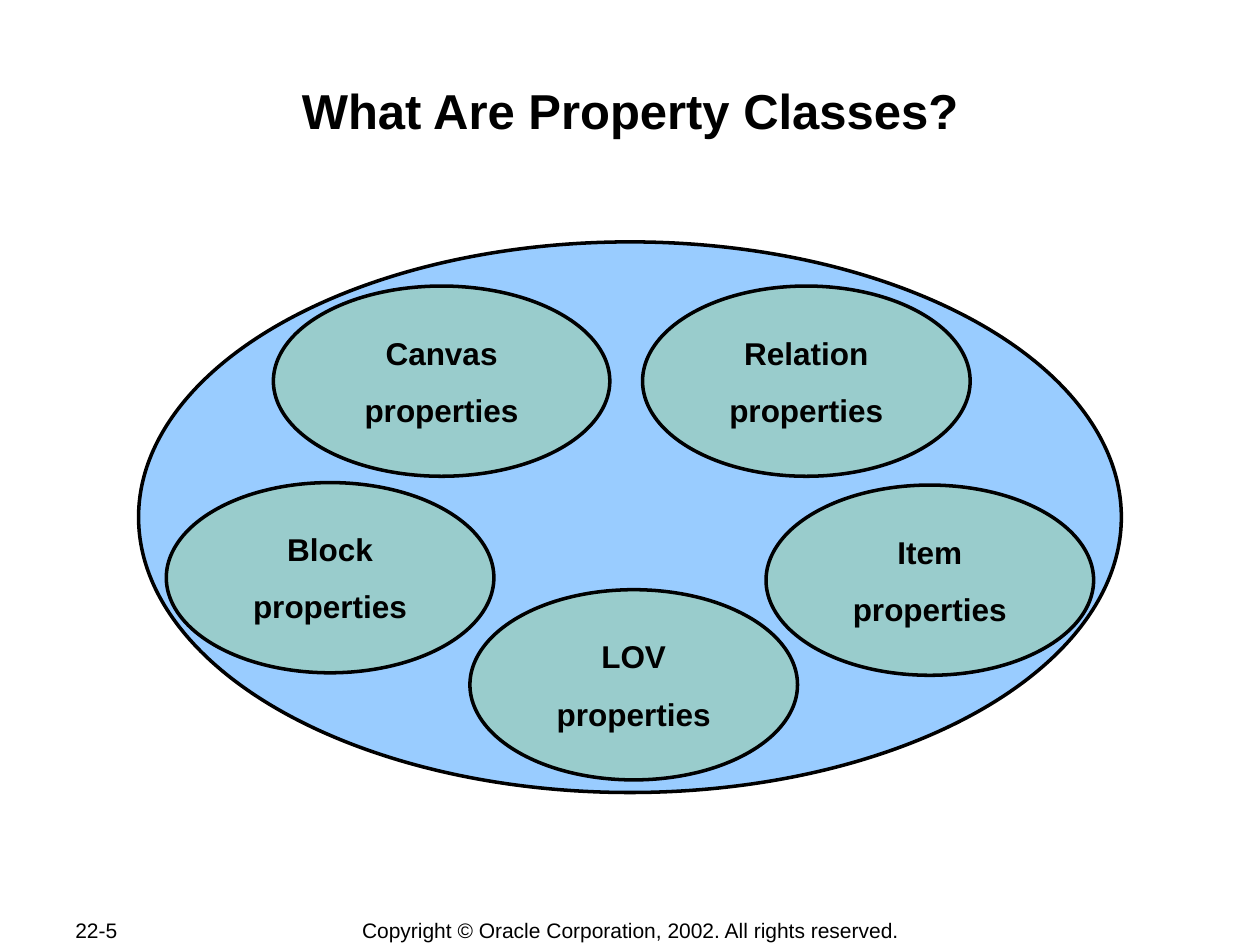
"""Build the slide on property classes: five ovals inside a large one."""
from pptx import Presentation
from pptx.dml.color import RGBColor
from pptx.enum.shapes import MSO_SHAPE as Shape
from pptx.enum.text import MSO_ANCHOR as Anchor, PP_ALIGN as Align
from pptx.util import Inches, Pt


def style(frame, size, bold, align, anchor):
    frame.vertical_anchor = anchor
    for para in frame.paragraphs:
        para.alignment = align
        for run in para.runs:
            run.font.name = "Arial"
            run.font.size = Pt(size)
            run.font.bold = bold
            run.font.color.rgb = RGBColor.from_string("000000")


def oval(left, top, width, height, fill):
    item = slide.shapes.add_shape(
        Shape.OVAL, Inches(left), Inches(top), Inches(width), Inches(height))
    item.shadow.inherit = False
    item.fill.solid()
    item.fill.fore_color.rgb = RGBColor.from_string(fill)
    item.line.color.rgb = RGBColor.from_string("000000")
    item.line.width = Pt(2)
    return item


deck = Presentation()
deck.slide_width, deck.slide_height = Inches(10), Inches(7.5)
slide = deck.slides.add_slide(deck.slide_layouts[5])

title = slide.shapes.title
title.left, title.top = Inches(1), Inches(0.58)
title.width, title.height = Inches(8), Inches(0.96)
frame = title.text_frame
frame.text = "What Are Property Classes?"
frame.margin_left = frame.margin_right = frame.margin_bottom = Inches(0.01)
frame.margin_top = Inches(0.06)
style(frame, 28, True, Align.CENTER, Anchor.TOP)

oval(1.1, 1.92, 7.8, 4.37, "99CCFF")
groups = [
    ("LOV", 3.73, 4.68, 2.6),
    ("Block", 1.32, 3.83, 2.6),
    ("Canvas", 2.17, 2.27, 2.67),
    ("Relation", 5.1, 2.27, 2.6),
    ("Item", 6.08, 3.85, 2.6),
]
for name, left, top, width in groups:
    frame = oval(left, top, width, 1.51, "99CCCC").text_frame
    frame.word_wrap = False
    frame.text = name
    para = frame.add_paragraph()
    para.text = "properties"
    para.space_before = Pt(11.2)
    style(frame, 18, True, Align.CENTER, Anchor.MIDDLE)

notes = [
    ("22-5", 0.5, 1.06, Align.LEFT),
    ("Copyright © Oracle Corporation, 2002. All rights reserved.",
     2.76, 4.49, Align.CENTER),
]
for text, left, width, align in notes:
    box = slide.shapes.add_textbox(
        Inches(left), Inches(7.28), Inches(width), Inches(0.21))
    frame = box.text_frame
    frame.word_wrap = align == Align.LEFT
    frame.text = text
    style(frame, 12, False, align, Anchor.MIDDLE)

deck.save("out.pptx")
